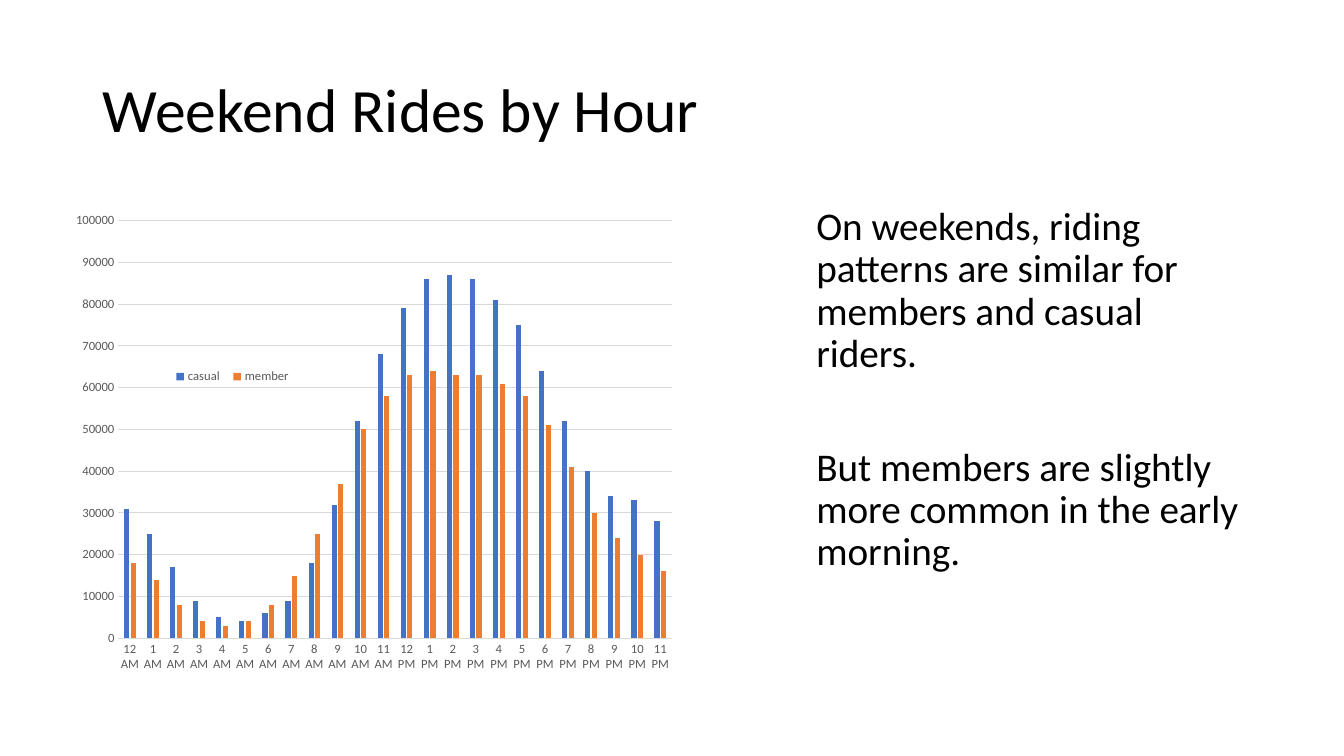
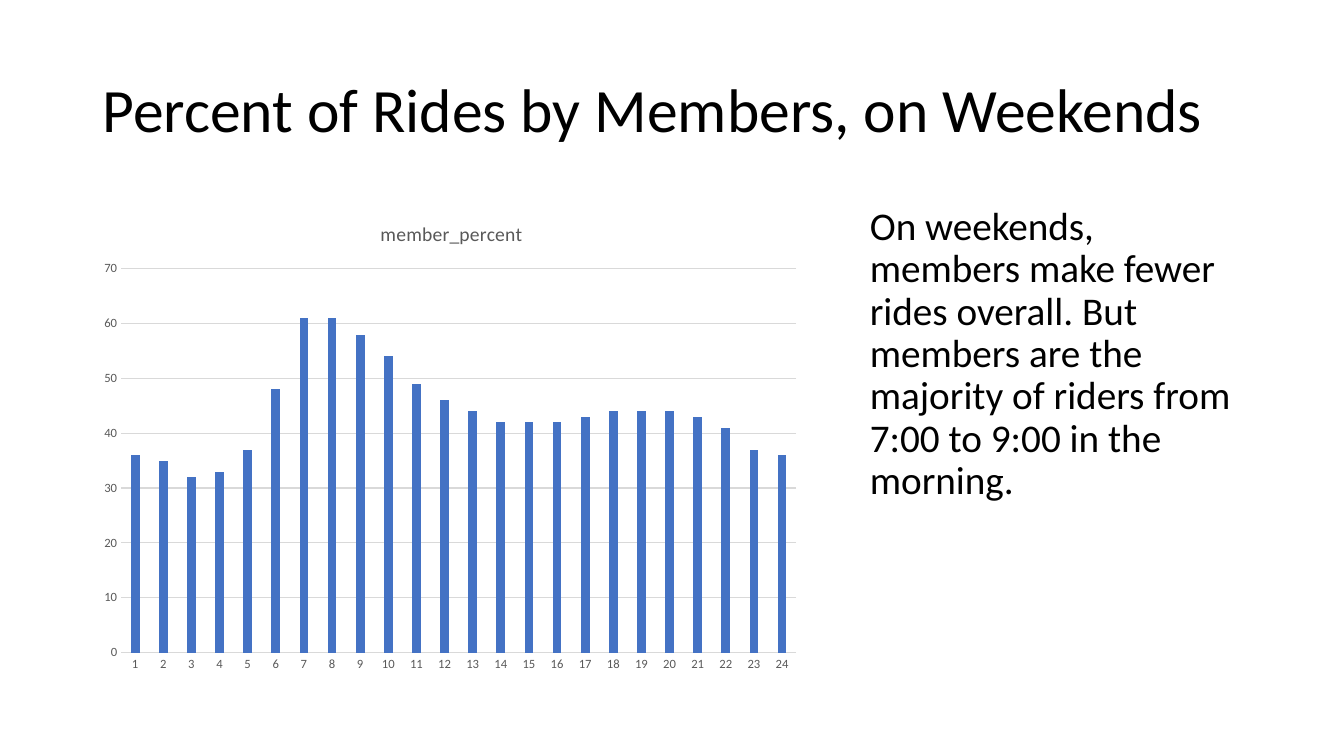
from pptx import Presentation
from pptx.chart.data import CategoryChartData
from pptx.dml.color import RGBColor
from pptx.enum.chart import XL_CHART_TYPE as ChartType, XL_TICK_MARK as TickMark
from pptx.enum.text import MSO_ANCHOR as Anchor, MSO_AUTO_SIZE as AutoSize, PP_ALIGN as Align
from pptx.oxml import parse_xml
from pptx.oxml.ns import nsdecls, qn
from pptx.util import Pt

# Shared look; lengths in px, 96 to the inch
PX = 9525
FONT = "Calibri"
BLACK, GREY, GRID = "000000", "595959", "D9D9D9"
BLUE, ORANGE = "4472C4", "ED7D31"
TITLE_BOX = (88, 38, 1104, 139)
BODY_TOP, BODY_HEIGHT = 192, 457

# Content: text is (wording, points before); layouts are fractions of the chart
HOURS = [f"{hour % 12 or 12} {'AM' if hour < 12 else 'PM'}" for hour in range(24)]
SLIDES = [
    {
        "title": "Weekend Rides by Hour",
        "text": [
            ("On weekends, riding patterns are similar for members and casual riders.", 10),
            ("But members are slightly more common in the early morning.", 51),
        ],
        "text_span": (768, 424),
        "chart_span": (60, 659),
        "categories": HOURS,
        "series": [
            ("casual", BLUE, [31000, 25000, 17000, 9000, 5000, 4000, 6000, 9000,
                              18000, 32000, 52000, 68000, 79000, 86000, 87000, 86000,
                              81000, 75000, 64000, 52000, 40000, 34000, 33000, 28000]),
            ("member", ORANGE, [18000, 14000, 8000, 4000, 3000, 4000, 8000, 15000,
                                25000, 37000, 50000, 58000, 63000, 64000, 63000, 63000,
                                61000, 58000, 51000, 41000, 30000, 24000, 20000, 16000]),
        ],
        "scale": (100000, 10000),
        "plot": (0.08, 0.04, 0.8, 0.87),
        "legend": (0.15, 0.34, 0.19, 0.05),
    },
    {
        "title": "Percent of Rides by Members, on Weekends",
        "text": [
            ("On weekends, members make fewer rides overall. But members are the "
             "majority of riders from 7:00 to 9:00 in the morning.", 10),
        ],
        "text_span": (819, 373),
        "chart_span": (88, 684),
        "categories": [str(number) for number in range(1, 25)],
        "series": [
            ("member_percent", BLUE, [36, 35, 32, 33, 37, 48, 61, 61, 58, 54, 49, 46,
                                      44, 42, 42, 42, 43, 44, 44, 44, 43, 41, 37, 36]),
        ],
        "scale": (70, 10),
        "plot": (0.04, 0.14, 0.94, 0.8),
        "chart_title": "member_percent",
    },
]


def color(value):
    return RGBColor.from_string(value)


def place(*lengths):
    return [length * PX for length in lengths]


def style_font(font, size, value):
    font.name, font.size, font.bold = FONT, Pt(size), False
    font.color.rgb = color(value)


def add_span(para, wording, size, value):
    span = para.add_run()
    span.text = wording
    style_font(span.font, size, value)


def add_title(page, wording):
    title = page.shapes.title
    title.left, title.top, title.width, title.height = place(*TITLE_BOX)
    frame = title.text_frame
    frame.auto_size = AutoSize.NONE
    frame.vertical_anchor = Anchor.MIDDLE
    para = frame.paragraphs[0]
    para.alignment, para.line_spacing = Align.LEFT, 0.9
    add_span(para, wording, 44, BLACK)


def add_body(page, text, left, width):
    box = page.shapes.add_textbox(*place(left, BODY_TOP, width, BODY_HEIGHT))
    frame = box.text_frame
    frame.word_wrap = True
    for index, (wording, before) in enumerate(text):
        para = frame.add_paragraph() if index else frame.paragraphs[0]
        para.line_spacing, para.space_before = 0.9, Pt(before)
        add_span(para, wording, 28, BLACK)


def set_layout(part, fractions, inner=False):
    """Fix the place of a plot area or legend inside its chart."""
    target = '<c:layoutTarget val="inner"/>' if inner else ""
    modes = "".join(f'<c:{side}Mode val="edge"/>' for side in "xy")
    sizes = "".join(f'<c:{key} val="{value}"/>' for key, value in zip("xywh", fractions))
    layout = parse_xml(f'<c:layout {nsdecls("c")}><c:manualLayout>'
                       f'{target}{modes}{sizes}</c:manualLayout></c:layout>')
    previous = part.find(qn("c:layout"))
    if previous is None:
        position = part.find(qn("c:legendPos"))
        part.insert(0 if position is None else 1, layout)
    else:
        part.replace(previous, layout)


def add_column_chart(page, content):
    data = CategoryChartData()
    data.categories = content["categories"]
    for name, _, values in content["series"]:
        data.add_series(name, values)
    left, width = content["chart_span"]
    chart = page.shapes.add_chart(ChartType.COLUMN_CLUSTERED,
                                  *place(left, BODY_TOP, width, BODY_HEIGHT), data).chart
    style_font(chart.font, 10, BLACK)

    # Columns
    plot = chart.plots[0]
    plot.gap_width, plot.overlap, plot.vary_by_categories = 219, -27, False
    for series, (_, fill, _) in zip(plot.series, content["series"]):
        series.format.fill.solid()
        series.format.fill.fore_color.rgb = color(fill)

    # Axes and gridlines
    hours, rides = chart.category_axis, chart.value_axis
    for axis in (hours, rides):
        axis.major_tick_mark = axis.minor_tick_mark = TickMark.NONE
        style_font(axis.tick_labels.font, 9, GREY)
    rides.minimum_scale = 0
    rides.maximum_scale, rides.major_unit = content["scale"]
    rides.format.line.fill.background()
    for line in (hours.format.line, rides.major_gridlines.format.line):
        line.color.rgb, line.width = color(GRID), Pt(0.75)

    # Chart title, legend and plot area
    chart.has_title = "chart_title" in content
    if chart.has_title:
        add_span(chart.chart_title.text_frame.paragraphs[0], content["chart_title"], 14, GREY)
    chart.has_legend = "legend" in content
    if chart.has_legend:
        chart.legend.include_in_layout = False
        style_font(chart.legend.font, 9, GREY)
        set_layout(chart.legend._element, content["legend"])
    set_layout(chart._chartSpace.chart.plotArea, content["plot"], inner=True)


def main():
    deck = Presentation()
    deck.slide_width, deck.slide_height = place(1280, 720)
    title_only = deck.slide_layouts[5]
    for content in SLIDES:
        page = deck.slides.add_slide(title_only)
        add_title(page, content["title"])
        add_body(page, content["text"], *content["text_span"])
        add_column_chart(page, content)
    deck.save("out.pptx")


if __name__ == "__main__":
    main()
